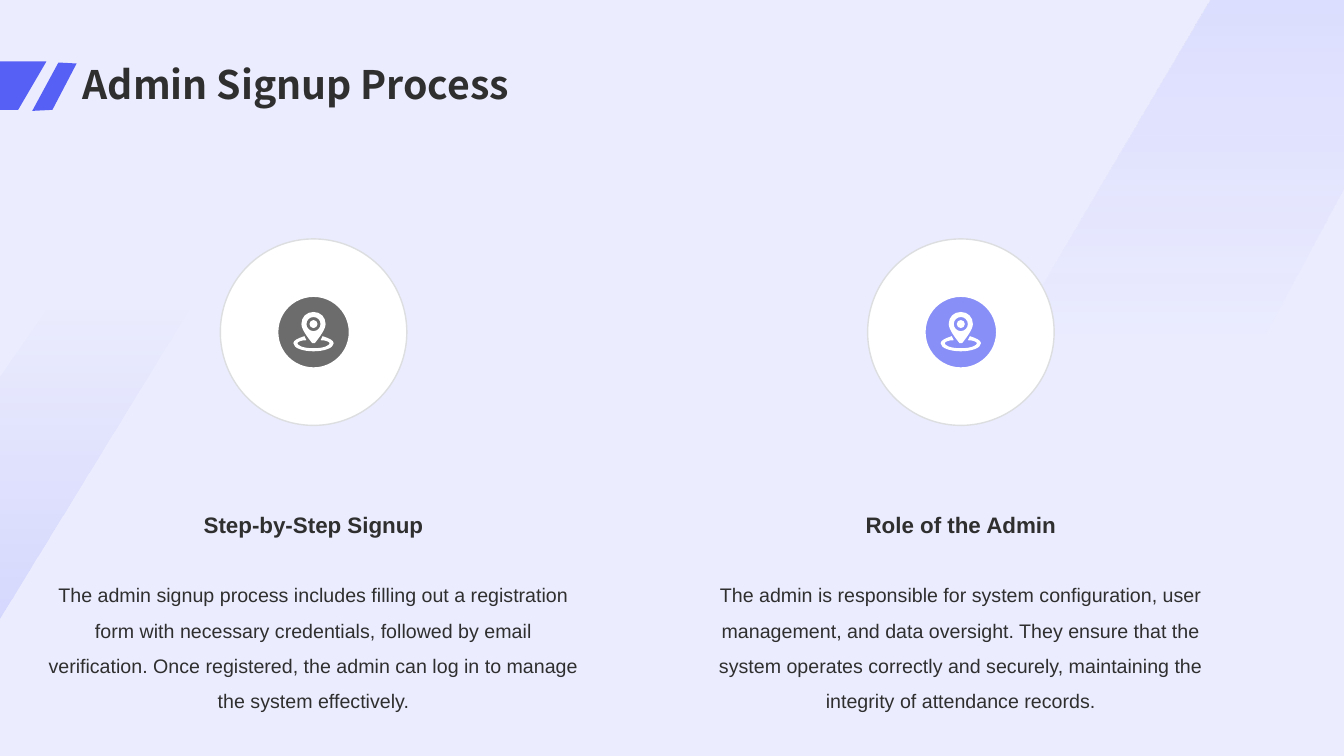
import pptx
import pptx.dml.color
import pptx.enum.text
import pptx.oxml
import pptx.oxml.ns
import pptx.util
from pptx.enum.shapes import MSO_SHAPE
from pptx.util import Inches

COLORS = {
    "page": "EBECFE", "accent": "5660F4", "ink": "2F2F2F", "white": "FFFFFF",
    "rim": "DCDEE0", "left_band": "ABB1FC", "right_band": "ADB3FD",
}
BODY_FONT = "Arial"
TITLE_FONT = "Noto Sans CJK SC"
BADGE_Y = 3.295
COLUMN_WIDTH = 5.46

COLUMNS = [
    (3.11, "ink", "Step-by-Step Signup",
     "The admin signup process includes filling out a registration form with necessary "
     "credentials, followed by email verification. Once registered, the admin can log in "
     "to manage the system effectively."),
    (9.53, "accent", "Role of the Admin",
     "The admin is responsible for system configuration, user management, and data "
     "oversight. They ensure that the system operates correctly and securely, maintaining "
     "the integrity of attendance records."),
]

# Right halves of the symmetrical icon outlines, in hundredths of an inch:
# a start point, then Bézier segments (control, control, end).
PIN_HALF = [(0, -20), (7, -20), (12, -15), (12, -8), (12, -3), (6, 5), (2, 10),
            (2, 11), (1, 11), (0, 11)]
RIPPLE_HALF = [(0, 16), (11, 16), (16, 13), (16, 11), (16, 10), (13, 8), (7, 8),
               (8, 6), (8, 5), (9, 4), (15, 6), (20, 8), (20, 11),
               (20, 16), (10, 19), (0, 19)]


def rgb(name):
    return pptx.dml.color.RGBColor.from_string(COLORS[name])


def set_alpha(color_element, percent):
    alpha = pptx.oxml.parse_xml(
        f'<a:alpha {pptx.oxml.ns.nsdecls("a")} val="{percent * 1000}"/>')
    color_element.append(alpha)


def paint(shape, color, line=None, line_width=1, opacity=100):
    shape.shadow.inherit = False
    shape.fill.solid()
    shape.fill.fore_color.rgb = rgb(color)
    if opacity < 100:
        set_alpha(shape._element.spPr.find(".//" + pptx.oxml.ns.qn("a:srgbClr")), opacity)
    if line:
        shape.line.color.rgb = rgb(line)
        shape.line.width = pptx.util.Pt(line_width)
    else:
        shape.line.fill.background()


def paint_fade(shape, color, stops):
    """Fill from top to bottom with one colour; stops are (position, opacity percent)."""
    paint(shape, color)
    shape.fill.gradient()
    shape.fill.gradient_angle = 270
    for stop, (position, _) in zip(shape.fill.gradient_stops, stops):
        stop.position = position
        stop.color.rgb = rgb(color)
    color_elements = shape._element.spPr.iter(pptx.oxml.ns.qn("a:srgbClr"))
    for element, (_, opacity) in zip(list(color_elements), stops):
        set_alpha(element, opacity)


def add_outline(slide, *contours):
    """Add one closed freeform from contours of points in inches."""
    contours = [[(Inches(x), Inches(y)) for x, y in contour] for contour in contours]
    builder = slide.shapes.build_freeform(*contours[0][0], scale=1.0)
    for index, contour in enumerate(contours):
        if index:
            builder.move_to(*contour[0])
        builder.add_line_segments(contour[1:], close=True)
    return builder.convert_to_shape()


def bend_lines(shape):
    """Turn every three line segments into one Bézier curve."""
    lines = list(shape._element.spPr.iter(pptx.oxml.ns.qn("a:lnTo")))
    for first, second, third in zip(lines[::3], lines[1::3], lines[2::3]):
        curve = pptx.oxml.parse_xml(f'<a:cubicBezTo {pptx.oxml.ns.nsdecls("a")}/>')
        first.addprevious(curve)
        for segment in (first, second, third):
            curve.append(segment[0])
            segment.getparent().remove(segment)


def mirrored(half):
    return half + [(-x, y) for x, y in reversed(half[:-1])]


def circle_half(radius, center_y):
    pull = 0.55 * radius
    top, bottom = center_y - radius, center_y + radius
    return [(0, top), (pull, top), (radius, center_y - pull), (radius, center_y),
            (radius, center_y + pull), (pull, bottom), (0, bottom)]


def add_disc(slide, center_x, diameter, **look):
    disc = slide.shapes.add_shape(
        MSO_SHAPE.OVAL, Inches(center_x - diameter / 2), Inches(BADGE_Y - diameter / 2),
        Inches(diameter), Inches(diameter))
    paint(disc, **look)


def add_location_badge(slide, center_x, color):
    add_disc(slide, center_x, 1.85, color="white", line="rim")
    add_disc(slide, center_x, 0.74, color=color, line="white", line_width=3, opacity=70)
    halves = [RIPPLE_HALF, circle_half(4, -8), circle_half(7, -8), PIN_HALF]
    icon = add_outline(slide, *[[(center_x + x / 100, BADGE_Y + y / 100)
                                 for x, y in mirrored(half)] for half in halves])
    bend_lines(icon)
    paint(icon, "white")


def write(frame, text, font, line_spacing=1.0, align="CENTER", anchor="TOP"):
    frame.word_wrap = True
    frame.vertical_anchor = getattr(pptx.enum.text.MSO_ANCHOR, anchor)
    paragraph = frame.paragraphs[0]
    paragraph.alignment = getattr(pptx.enum.text.PP_ALIGN, align)
    paragraph.line_spacing = line_spacing
    run = paragraph.add_run()
    run.text = text
    for attribute, value in font.items():
        setattr(run.font, attribute, value)
    run.font.color.rgb = rgb("ink")


def add_column(slide, center_x, color, heading, description):
    add_location_badge(slide, center_x, color)
    left, width = Inches(center_x - COLUMN_WIDTH / 2), Inches(COLUMN_WIDTH)
    heading_box = slide.shapes.add_textbox(left, Inches(5.02), width, Inches(0.37))
    write(heading_box.text_frame, heading,
          {"name": BODY_FONT, "size": pptx.util.Pt(16), "bold": True}, anchor="MIDDLE")
    description_box = slide.shapes.add_textbox(left, Inches(5.62), width, Inches(1.16))
    write(description_box.text_frame, description,
          {"name": BODY_FONT, "size": pptx.util.Pt(14)}, line_spacing=1.5)
    for box in (heading_box, description_box):
        box.text_frame.auto_size = pptx.enum.text.MSO_AUTO_SIZE.SHAPE_TO_FIT_TEXT


def add_backdrop(slide):
    page = slide.shapes.add_shape(
        MSO_SHAPE.RECTANGLE, Inches(-0.36), Inches(0), Inches(13.69), Inches(7.5))
    paint(page, "page")
    left_band = add_outline(slide, [(-0.37, 4.27), (0.49, 3.03), (1.9, 3.03), (-0.38, 6.76)])
    paint_fade(left_band, "left_band", [(0, 0), (1, 40)])
    right_band = add_outline(
        slide, [(12, 0), (13.33, 0), (13.33, 1.85), (11.97, 4.39), (9.42, 4.39)])
    paint_fade(right_band, "right_band", [(0, 24), (0.76, 0)])
    for title_mark in ([(0.32, 1.1), (0.58, 0.62), (0.76, 0.63), (0.52, 1.09)],
                       [(0.46, 0.61), (-0.36, 0.61), (-0.36, 1.09), (0.18, 1.09)]):
        paint(add_outline(slide, title_mark), "accent")


def set_title(slide, text):
    title = slide.shapes.title
    title.left, title.top = Inches(0.72), Inches(0)
    title.width, title.height = Inches(11.88), Inches(1.12)
    write(title.text_frame, text,
          {"name": TITLE_FONT, "size": pptx.util.Pt(28), "bold": True},
          line_spacing=0.9, align="LEFT", anchor="BOTTOM")
    title.text_frame.auto_size = pptx.enum.text.MSO_AUTO_SIZE.NONE
    # The title sits above the backdrop in the stacking order.
    slide.shapes._spTree.append(title._element)


def main():
    deck = pptx.Presentation()
    deck.slide_width, deck.slide_height = Inches(13.33), Inches(7.5)
    slide = deck.slides.add_slide(deck.slide_layouts[5])
    add_backdrop(slide)
    set_title(slide, "Admin Signup Process")
    for column in COLUMNS:
        add_column(slide, *column)
    deck.save("out.pptx")


if __name__ == "__main__":
    main()
